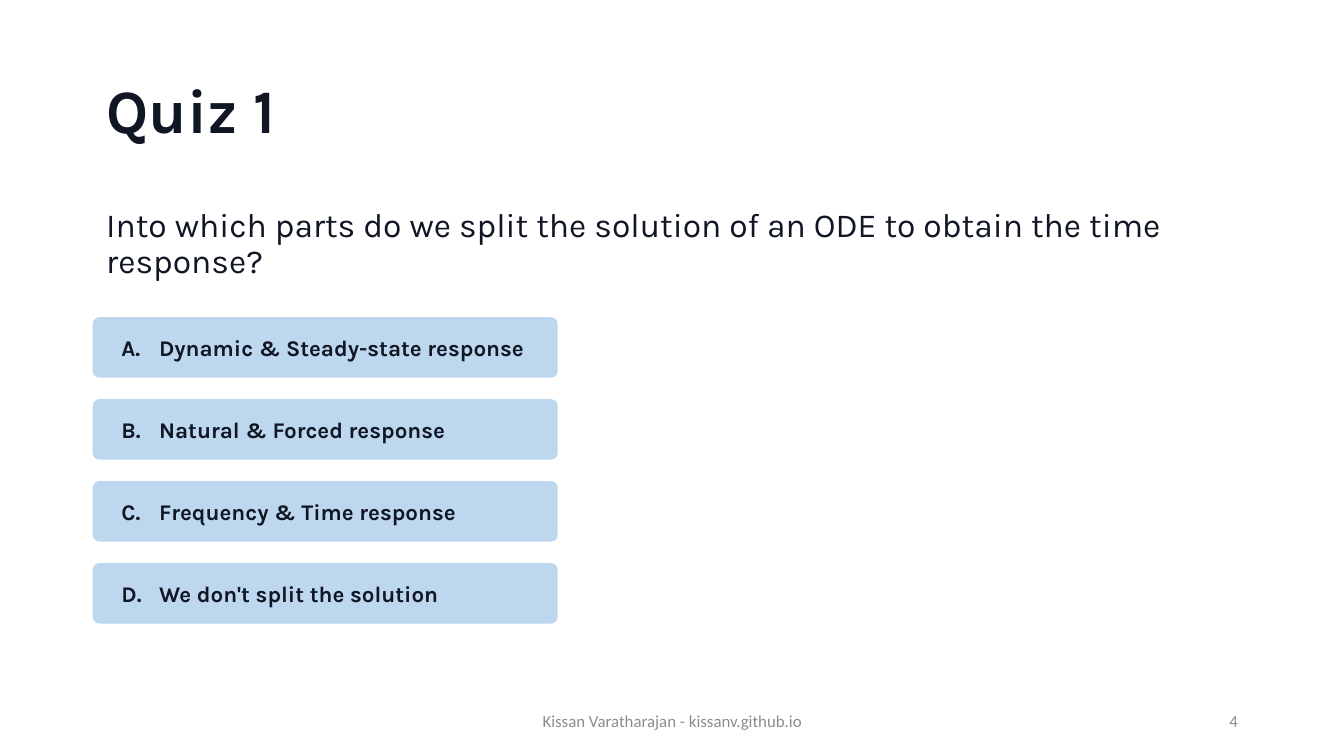
from lxml import etree
from pptx import Presentation
from pptx.dml.color import RGBColor
from pptx.enum.shapes import MSO_SHAPE
from pptx.enum.text import MSO_ANCHOR, MSO_AUTO_SIZE, PP_ALIGN
from pptx.oxml.ns import qn
from pptx.util import Inches, Pt

# Content
TITLE = "Quiz 1"
QUESTION = ("Into which parts do we split the solution of an ODE "
            "to obtain the time response?")
ANSWERS = [
    "Dynamic & Steady-state response",
    "Natural & Forced response",
    "Frequency & Time response",
    "We don't split the solution",
]
FOOTER = "Kissan Varatharajan - kissanv.github.io"
PAGE_NUMBER = "4"

# Format
INK = RGBColor(0x10, 0x16, 0x23)
GREY = RGBColor(0x8C, 0x8C, 0x8D)
PALE_BLUE = RGBColor(0xBD, 0xD7, 0xEE)
TITLE_FONT = {"name": "Karla", "size": Pt(33), "bold": True}
QUESTION_FONT = {"name": "Karla", "size": Pt(18), "bold": False}
ANSWER_FONT = {"name": "Karla", "size": Pt(12), "bold": True}
FOOTER_FONT = {"name": "Calibri", "size": Pt(9), "bold": False}

# Layout in inches
WIDTH, HEIGHT = 10, 5.625
MARGIN = 0.69
CONTENT_WIDTH = WIDTH - 2 * MARGIN
ANSWER_TOP, ANSWER_WIDTH, ANSWER_HEIGHT, ANSWER_STEP = 2.36, 3.46, 0.45, 0.61
LETTER_WIDTH = 0.28
FOOTER_TOP, FOOTER_HEIGHT, FOOTER_WIDTH, NUMBER_WIDTH = 5.21, 0.3, 3.38, 2.25


def place(shape, left, top, width, height):
    shape.left, shape.top = Inches(left), Inches(top)
    shape.width, shape.height = Inches(width), Inches(height)


def write(shape, text, font, color, anchor, align=PP_ALIGN.LEFT, hanging=0):
    frame = shape.text_frame
    frame.word_wrap = True
    frame.auto_size = MSO_AUTO_SIZE.NONE
    frame.vertical_anchor = anchor
    paragraph = frame.paragraphs[0]
    paragraph.text = text
    paragraph.alignment = align
    paragraph.space_before = Pt(0)
    properties = paragraph._p.get_or_add_pPr()
    properties.set("marL", str(Inches(hanging)))
    properties.set("indent", str(-Inches(hanging)))
    etree.SubElement(properties, qn("a:buNone"))
    for name, value in font.items():
        setattr(paragraph.font, name, value)
    paragraph.font.color.rgb = color
    return paragraph


presentation = Presentation()
presentation.slide_width = Inches(WIDTH)
presentation.slide_height = Inches(HEIGHT)
slide = presentation.slides.add_slide(presentation.slide_layouts[1])

# Title and question
title, question = slide.shapes.title, slide.placeholders[1]
place(title, MARGIN, 0.3, CONTENT_WIDTH, 1.09)
place(question, MARGIN, 1.5, CONTENT_WIDTH, 3.57)
write(title, TITLE, TITLE_FONT, INK, MSO_ANCHOR.MIDDLE).line_spacing = 0.9
write(question, QUESTION, QUESTION_FONT, INK, MSO_ANCHOR.TOP).line_spacing = 0.9

# Footer and page number
footer_parts = [
    (FOOTER, (WIDTH - FOOTER_WIDTH) / 2, FOOTER_WIDTH, PP_ALIGN.CENTER),
    (PAGE_NUMBER, WIDTH - MARGIN - NUMBER_WIDTH, NUMBER_WIDTH, PP_ALIGN.RIGHT),
]
for text, left, width, align in footer_parts:
    footer = slide.shapes.add_textbox(0, 0, 0, 0)
    place(footer, left, FOOTER_TOP, width, FOOTER_HEIGHT)
    write(footer, text, FOOTER_FONT, GREY, MSO_ANCHOR.MIDDLE, align)

# Answer boxes
for row, (letter, text) in enumerate(zip("ABCD", ANSWERS)):
    answer = slide.shapes.add_shape(MSO_SHAPE.ROUNDED_RECTANGLE, 0, 0, 0, 0)
    place(answer, MARGIN, ANSWER_TOP + row * ANSWER_STEP, ANSWER_WIDTH, ANSWER_HEIGHT)
    answer.adjustments[0] = 0.11
    answer.shadow.inherit = False
    answer.fill.solid()
    answer.fill.fore_color.rgb = PALE_BLUE
    answer.line.fill.background()
    answer.text_frame.margin_left = Inches(0.2)
    write(answer, f"{letter}.\t{text}", ANSWER_FONT, INK, MSO_ANCHOR.MIDDLE,
          hanging=LETTER_WIDTH)

presentation.save("out.pptx")
